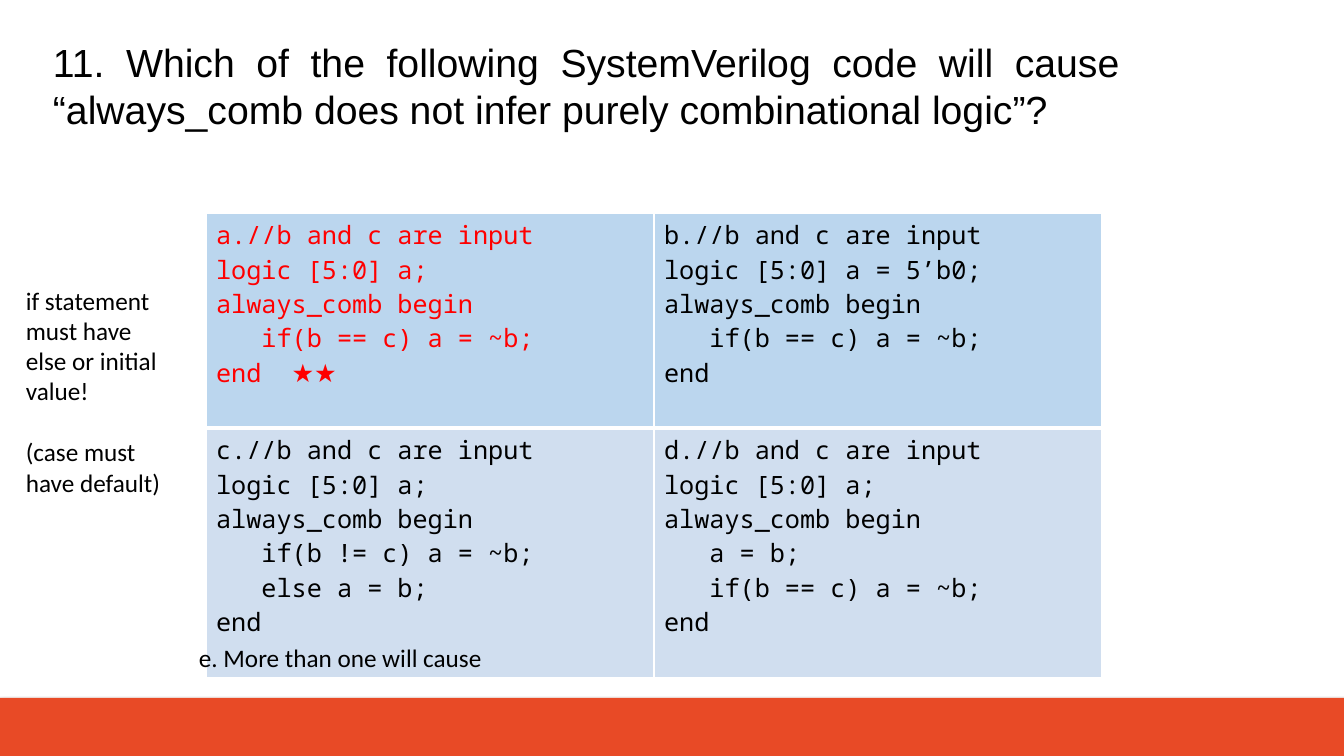
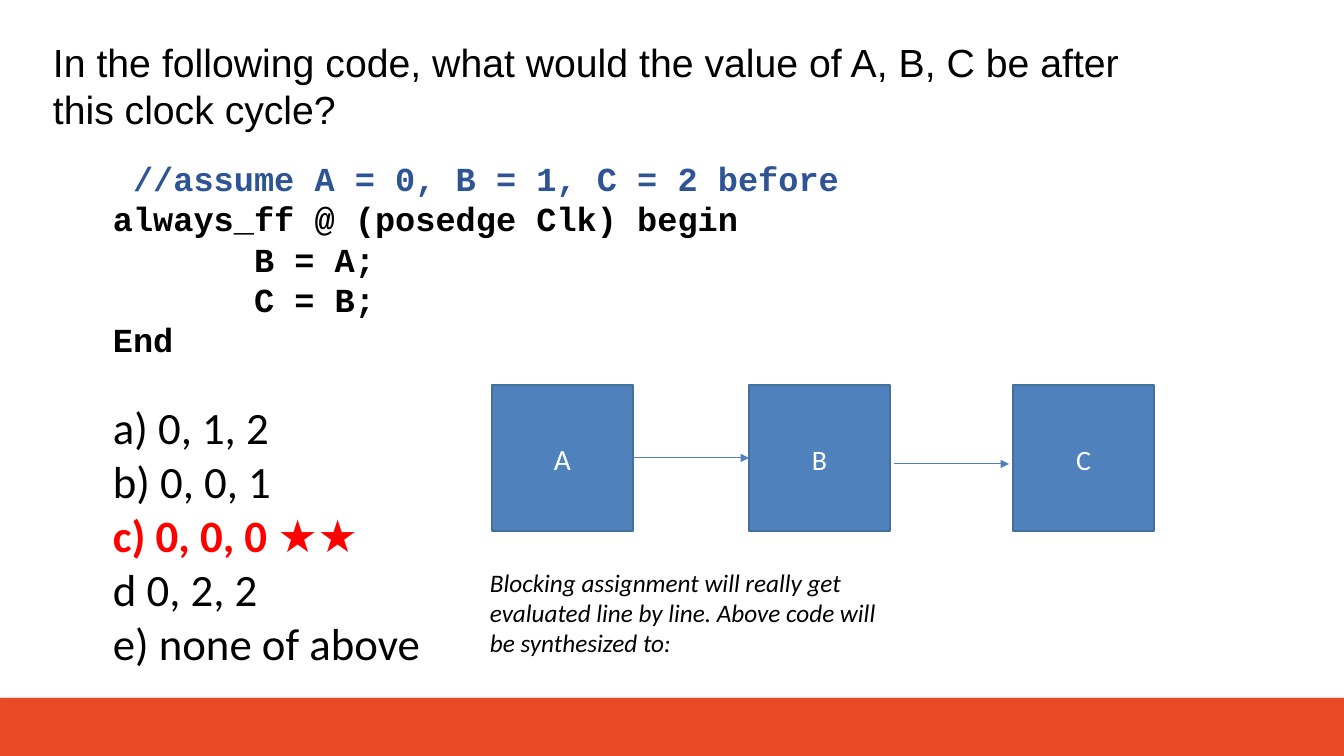
"""Build two quiz slides about SystemVerilog."""
from lxml import etree
from pptx import Presentation, util as u
from pptx.dml import color
from pptx.enum import shapes, text
from pptx.oxml import ns

PX = 9072
INK, RED, WHITE, BLUE, EDGE = "000000", "FF0000", "FFFFFF", "4F81BD", "42719B"
BAND, NOTE = "E84A26", "2F5496"
MONO = "Noto Sans Mono"
TINTS = ["BBD6EE", "D0DEEF"]
STARS = "★★"
A = ns.nsdecls("a")
hue = color.RGBColor.from_string


def put(frame, rows, size=18, font="Calibri", ink=INK, bold=False, italic=False,
        align=None, lead=None, gap=None):
    """Write rows into a frame; a row is text or a list of (text, changes)."""
    frame.word_wrap = True
    for i, row in enumerate(rows):
        para = frame.paragraphs[0] if i == 0 and not frame.text else frame.add_paragraph()
        para.alignment = align
        para.line_spacing = lead
        if i == 0 and gap:
            para.space_before = u.Pt(gap)
        for words, change in [(row, {})] if isinstance(row, str) else row:
            run = para.add_run()
            run.text = words
            face = run.font
            face.size = u.Pt(size)
            face.name = change.get("font", font)
            face.bold = change.get("bold", bold)
            face.italic = italic
            face.color.rgb = hue(change.get("ink", ink))


def box(page, x, y, w, h):
    """Add a text box and return its frame."""
    return page.shapes.add_textbox(x * PX, y * PX, w * PX, h * PX).text_frame


deck = Presentation()
deck.slide_width, deck.slide_height = 1344 * PX, 756 * PX

heads = [
    "11. Which of the following SystemVerilog code will cause "
    "“always_comb does not infer purely combinational logic”?",
    "In the following code, what would the value of A, B, C be after this clock cycle?",
]
pages = []
for head in heads:
    page = deck.slides.add_slide(deck.slide_layouts[6])
    band = page.shapes.add_shape(shapes.MSO_SHAPE.RECTANGLE, 0, 698 * PX, 1344 * PX, 58 * PX)
    band.fill.solid()
    band.fill.fore_color.rgb = hue(BAND)
    band.line.fill.background()
    band._element.spPr.append(etree.fromstring(
        f'<a:effectLst {A}><a:outerShdw blurRad="39370" dist="22860" dir="5400000" '
        f'rotWithShape="0"><a:srgbClr val="{INK}"><a:alpha val="35000"/></a:srgbClr>'
        '</a:outerShdw></a:effectLst>'))
    put(box(page, 43, 33, 1086, 105), [head], size=28, font="Arial",
        align=text.PP_ALIGN.JUSTIFY)
    pages.append(page)
quiz, clock = pages

codes = [
    [["a.//b and c are input", "logic [5:0] a;", "always_comb begin",
      "   if(b == c) a = ~b;", [("end  ", {}), (STARS, {"font": "Arial", "bold": True})]],
     ["b.//b and c are input", "logic [5:0] a = 5’b0;", "always_comb begin",
      "   if(b == c) a = ~b;", "end"]],
    [["c.//b and c are input", "logic [5:0] a;", "always_comb begin",
      "   if(b != c) a = ~b;", "   else a = b;", "end"],
     ["d.//b and c are input", "logic [5:0] a;", "always_comb begin",
      "   a = b;", "   if(b == c) a = ~b;", "end"]],
]
grid = quiz.shapes.add_table(2, 2, 206 * PX, 213 * PX, 896 * PX, 465 * PX).table
for r, (high, tint) in enumerate(zip([215, 250], TINTS)):
    grid.rows[r].height = high * PX
    for c in range(2):
        cell = grid.cell(r, c)
        put(cell.text_frame, codes[r][c], font=MONO, ink=INK if r or c else RED)
        props = cell._tc.get_or_add_tcPr()
        for side in "LRTB":
            wide = 3 if (r, side) in [(0, "B"), (1, "T")] else 1
            props.append(etree.fromstring(
                f'<a:ln{side} {A} w="{wide * 12700}"><a:solidFill>'
                f'<a:srgbClr val="{WHITE}"/></a:solidFill></a:ln{side}>'))
        cell.fill.solid()
        cell.fill.fore_color.rgb = hue(tint)

put(box(quiz, 189, 637, 424, 40), ["e. More than one will cause"])
side = box(quiz, 16, 280, 162, 224)
put(side, ["if statement", "must have", "else or initial", "value!"])
put(side, ["(case must have default)"], gap=22)

body = box(clock, 103, 153, 1138, 526)
put(body, [[(" ", {}), ("//assume A = 0, B = 1, C = 2 before", {"ink": NOTE})],
           "always_ff @ (posedge Clk) begin", "       B = A;", "       C = B;", "End"],
    size=24, font="Courier New", bold=True)
put(body, ["a) 0, 1, 2", "b) 0, 0, 1",
           [("c) 0, 0, 0 ", {"ink": RED, "bold": True}), (STARS, {"ink": RED, "font": "Arial"})],
           "d 0, 2, 2", "e) none of above"], size=32, gap=29)

regs = []
for name, x, size in [("A", 492, 21), ("B", 749, 20), ("C", 1013, 20)]:
    reg = clock.shapes.add_shape(shapes.MSO_SHAPE.RECTANGLE, x * PX, 385 * PX, 141 * PX, 146 * PX)
    reg.shadow.inherit = False
    reg.fill.solid()
    reg.fill.fore_color.rgb = hue(BLUE)
    reg.line.color.rgb = hue(EDGE)
    reg.line.width = u.Pt(1)
    reg.text_frame.vertical_anchor = text.MSO_ANCHOR.MIDDLE
    put(reg.text_frame, [name], size=size, ink=WHITE, align=text.PP_ALIGN.CENTER, lead=1.07)
    regs.append(reg)

wires = []
for x, end, y in [(633, 749, 458), (894, 1009, 464)]:
    wire = clock.shapes.add_connector(shapes.MSO_CONNECTOR.STRAIGHT,
                                      x * PX, y * PX, end * PX, y * PX)
    wire.line.color.rgb = hue(BLUE)
    wire.line.width = u.Pt(0.75)
    wire.line._get_or_add_ln().append(etree.fromstring(f'<a:tailEnd {A} type="triangle"/>'))
    wire._element.spPr.append(etree.fromstring(f'<a:effectLst {A}/>'))
    wires.append(wire)
wires[0].begin_connect(regs[0], 3)
wires[0].end_connect(regs[1], 1)

put(box(clock, 480, 562, 414, 102),
    ["Blocking assignment will really get evaluated line by line. "
     "Above code will be synthesized to:"], italic=True)

deck.save("out.pptx")
